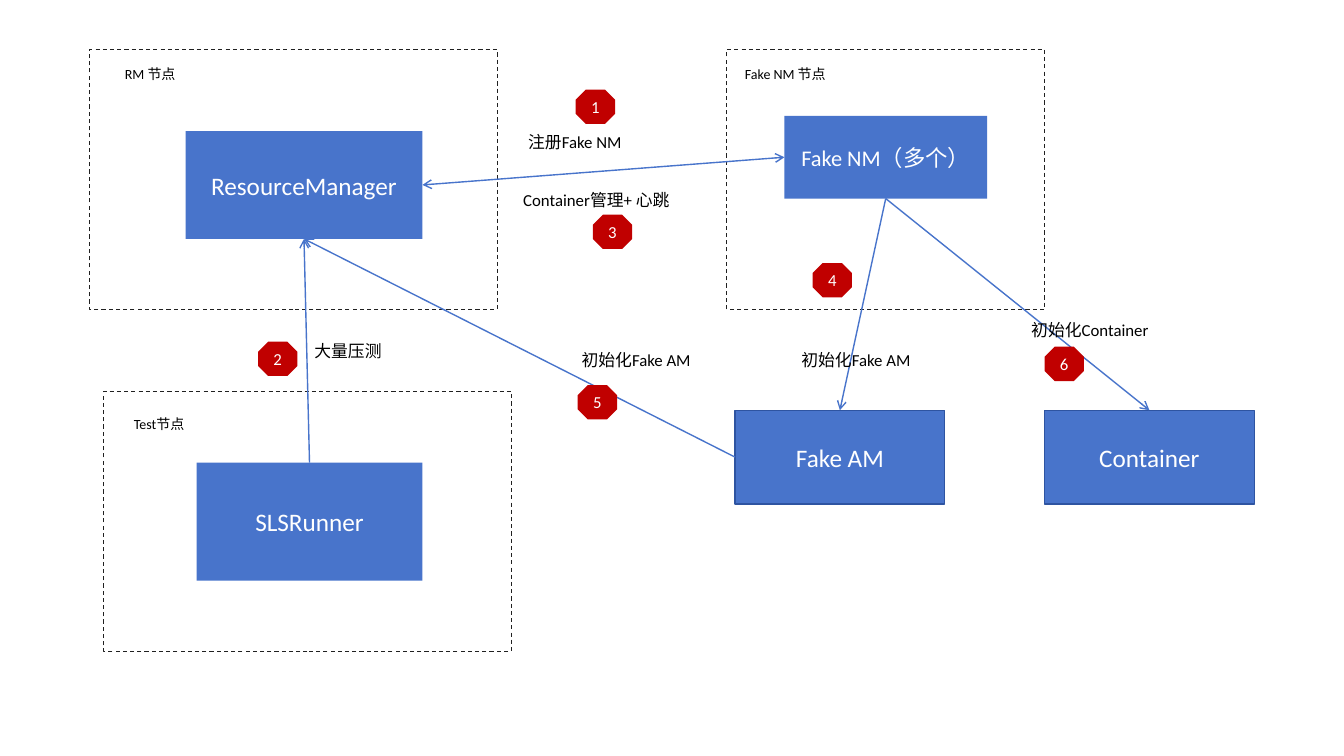
import pptx
import pptx.util
import pptx.dml.color
import pptx.enum.dml
import pptx.enum.shapes
import pptx.enum.text
import pptx.oxml.ns
import lxml.etree

Inches, Pt = pptx.util.Inches, pptx.util.Pt
RGBColor = pptx.dml.color.RGBColor
Shape = pptx.enum.shapes.MSO_SHAPE
Align = pptx.enum.text.PP_ALIGN
Anchor = pptx.enum.text.MSO_ANCHOR
qn = pptx.oxml.ns.qn

BLUE = RGBColor(0x48, 0x74, 0xCB)
NAVY = RGBColor(0x2E, 0x54, 0xA1)
RED = RGBColor(0xC0, 0x00, 0x00)
DARK = RGBColor(0x20, 0x20, 0x20)
BLACK = RGBColor(0, 0, 0)
WHITE = RGBColor(0xFF, 0xFF, 0xFF)

# Dashed zones: left, top, width, height
ZONES = [(1.03, 3.88, 4.04, 2.58), (0.89, 0.49, 4.04, 2.58), (7.21, 0.49, 3.15, 2.58)]

# Key: text, left, top, width, height, size, border
BOXES = {
    "rm": ("ResourceManager", 1.84, 1.3, 2.35, 1.07, 18, None),
    "nm": ("Fake NM（多个）", 7.78, 1.15, 2.01, 0.82, 16, None),
    "sls": ("SLSRunner", 1.95, 4.59, 2.24, 1.17, 18, None),
    "am": ("Fake AM", 7.29, 4.07, 2.08, 0.93, 18, NAVY),
    "con": ("Container", 10.36, 4.07, 2.08, 0.93, 18, NAVY),
}

# Sides of a rectangle, as connection sites
TOP, LEFT, BOTTOM, RIGHT = range(4)

# From box and side, to box and side, arrowheads
ARROWS = [
    ("sls", TOP, "rm", BOTTOM, ["tail"]),
    ("nm", BOTTOM, "am", TOP, ["tail"]),
    ("nm", BOTTOM, "con", TOP, ["tail"]),
    ("am", LEFT, "rm", BOTTOM, ["tail"]),
    ("rm", RIGHT, "nm", LEFT, ["head", "tail"]),
]

# Text, left, top, width, height, size
LABELS = [
    ("RM 节点", 1.14, 0.6, 0.9, 0.27, 10),
    ("Fake NM 节点", 7.29, 0.6, 1.27, 0.27, 10),
    ("Test节点", 1.23, 4.07, 1.27, 0.27, 10),
    ("注册Fake NM", 5.14, 1.26, 1.38, 0.3, 12),
    ("大量压测", 3.02, 3.33, 1.38, 0.3, 12),
    ("初始化Fake AM", 7.85, 3.42, 1.38, 0.3, 12),
    ("初始化Container", 10.13, 3.12, 1.67, 0.3, 12),
    ("初始化Fake AM", 5.67, 3.42, 1.38, 0.3, 12),
    ("Container管理+ 心跳", 5.09, 1.83, 1.79, 0.3, 12),
]

# Left and top of steps 1 to 6
STEPS = [(5.71, 0.89), (2.56, 3.39), (5.88, 2.13), (8.06, 2.61), (5.73, 3.82), (10.36, 3.44)]
STEP_SIZE = (0.39, 0.34)

deck = pptx.Presentation()
deck.slide_width, deck.slide_height = Inches(13.33), Inches(7.5)
slide = deck.slides.add_slide(deck.slide_layouts[6])


def write(shape, text, size=12, color=BLACK, align=Align.LEFT, anchor=Anchor.TOP):
    frame = shape.text_frame
    frame.word_wrap = True
    frame.vertical_anchor = anchor
    para = frame.paragraphs[0]
    para.alignment = align
    run = para.add_run()
    run.text = text
    run.font.name = "Calibri"
    run.font.size = Pt(size)
    run.font.color.rgb = color


def draw(kind, area, fill=None, line=None, width=1):
    shape = slide.shapes.add_shape(kind, *map(Inches, area))
    shape.shadow.inherit = False
    if fill is None:
        shape.fill.background()
    else:
        shape.fill.solid()
        shape.fill.fore_color.rgb = fill
    if line is None:
        shape.line.fill.background()
    else:
        shape.line.color.rgb = line
        shape.line.width = Pt(width)
    return shape


def link(start, out, end, into, heads):
    """Glue an arrow between the given sides of two boxes."""
    arrow = slide.shapes.add_connector(pptx.enum.shapes.MSO_CONNECTOR.STRAIGHT, 0, 0, 0, 0)
    arrow.begin_connect(start, out)
    arrow.end_connect(end, into)
    arrow.line.color.rgb = BLUE
    arrow.line.width = Pt(1)
    props = arrow._element.spPr
    for head in heads:
        lxml.etree.SubElement(props.find(qn("a:ln")), qn(f"a:{head}End"), type="arrow")
    lxml.etree.SubElement(props, qn("a:effectLst"))


for area in ZONES:
    zone = draw(Shape.RECTANGLE, area, line=DARK, width=0.75)
    zone.line.dash_style = pptx.enum.dml.MSO_LINE.DASH

boxes = {}
for key, (text, *area, size, border) in BOXES.items():
    boxes[key] = draw(Shape.RECTANGLE, area, fill=BLUE, line=border)
    write(boxes[key], text, size=size, color=WHITE, align=Align.CENTER, anchor=Anchor.MIDDLE)

for start, out, end, into, heads in ARROWS:
    link(boxes[start], out, boxes[end], into, heads)

for text, *area, size in LABELS:
    write(slide.shapes.add_textbox(*map(Inches, area)), text, size=size)

for number, place in enumerate(STEPS, 1):
    badge = draw(Shape.OCTAGON, place + STEP_SIZE, fill=RED)
    frame = badge.text_frame
    frame.margin_left = frame.margin_right = frame.margin_top = frame.margin_bottom = 0
    write(badge, str(number), color=WHITE, align=Align.CENTER, anchor=Anchor.MIDDLE)

deck.save("out.pptx")
